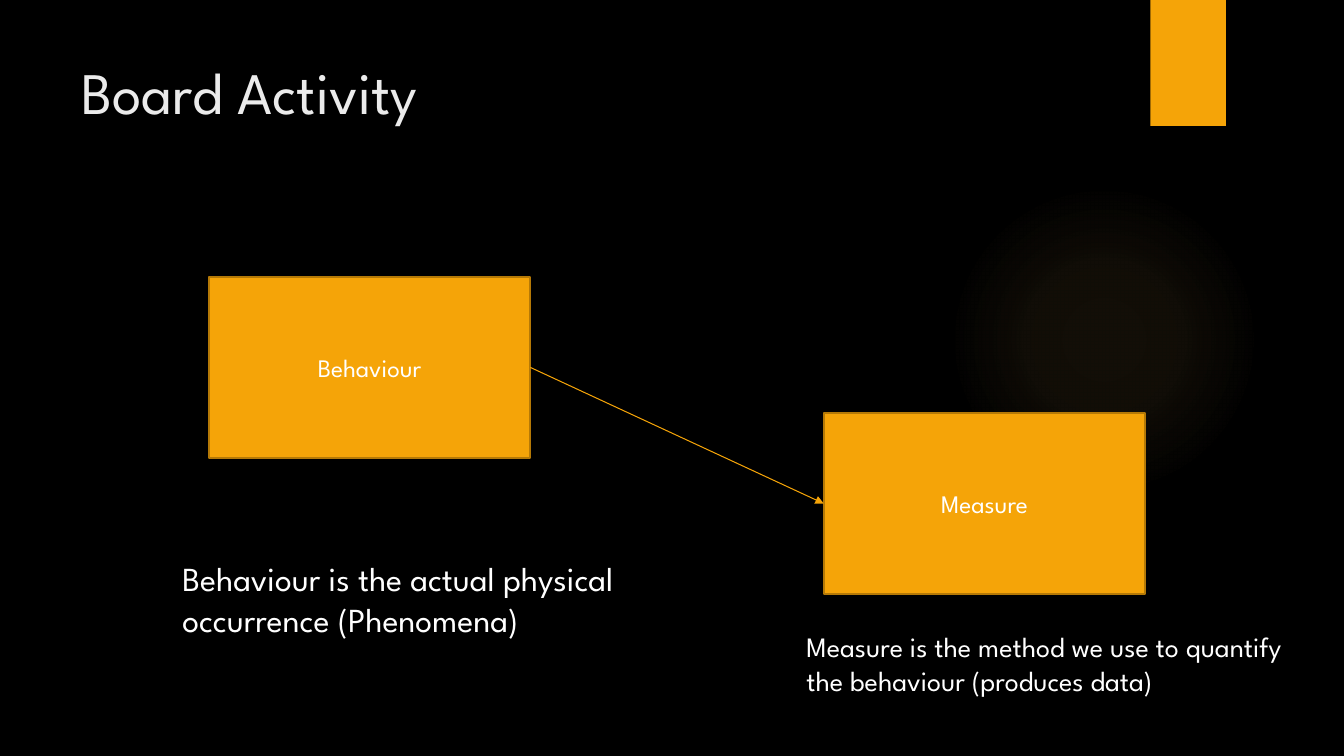
from lxml import etree
from pptx import Presentation
from pptx.dml.color import RGBColor
from pptx.enum.shapes import MSO_CONNECTOR as Connector, MSO_SHAPE as Shape
from pptx.enum.text import MSO_ANCHOR as Anchor, PP_ALIGN as Align
from pptx.oxml import parse_xml
from pptx.oxml.ns import nsdecls, qn
from pptx.util import Inches, Pt

FONT = "League Spartan"
COLORS = {
    "background": "000000",
    "amber": "F5A408",
    "border": "B57906",
    "glow": "FAC96A",
    "title": "EBEBEB",
    "text": "FFFFFF",
}

# Positions are left, top, width, height in inches
GLOW = (9.41, 1.83, 3.08, 3.08)
GLOW_STOPS = [(0, 7), (36, 6), (69, 0)]  # position %, opacity %
TAB = (11.41, 0, 0.75, 1.25)
BOX_SIZE = (3.19, 1.79)
BOXES = [("Behaviour", (2.07, 2.75)), ("Measure", (8.17, 4.1))]
TEXTS = [
    ("Board Activity", (0.71, 0.5, 10.29, 1.53), 42, "title"),
    ("Behaviour is the actual physical occurrence (Phenomena)",
     (1.71, 5.49, 5.22, 1.31), 24, "text"),
    ("Measure is the method we use to quantify the behaviour (produces data)",
     (7.9, 6.2, 4.97, 1.11), 20, "text"),
]


def color(name):
    return RGBColor.from_string(COLORS[name])


def write(shape, text, size, color_name, **frame_format):
    frame = shape.text_frame
    for name, value in {"word_wrap": True, **frame_format}.items():
        setattr(frame, name, value)
    run = frame.paragraphs[0].add_run()
    run.text = text
    for name, value in {"name": FONT, "size": Pt(size)}.items():
        setattr(run.font, name, value)
    run.font.color.rgb = color(color_name)


def add_shape(slide, kind, place, border=None):
    """Add an amber shape without shadow, outlined only if border is given."""
    shape = slide.shapes.add_shape(kind, *map(Inches, place))
    shape.shadow.inherit = False
    shape.fill.solid()
    shape.fill.fore_color.rgb = color("amber")
    if border:
        shape.line.color.rgb = color(border)
        shape.line.width = Pt(1.5)
    else:
        shape.line.fill.background()
    return shape


def add_glow(slide):
    """Add a circle whose translucent radial gradient fades outwards."""
    glow = add_shape(slide, Shape.OVAL, GLOW)
    stops = "".join(
        f'<a:gs pos="{position * 1000}"><a:srgbClr val="{COLORS["glow"]}">'
        f'<a:alpha val="{opacity * 1000}"/></a:srgbClr></a:gs>'
        for position, opacity in GLOW_STOPS)
    gradient = parse_xml(
        f'<a:gradFill {nsdecls("a")} rotWithShape="1"><a:gsLst>{stops}</a:gsLst>'
        '<a:path path="circle"><a:fillToRect l="50000" t="50000" r="50000" b="50000"/>'
        '</a:path></a:gradFill>')
    properties = glow.element.spPr
    properties.replace(properties.find(qn("a:solidFill")), gradient)


def add_arrow(slide, start, end):
    """Join the right side of start to the left side of end."""
    arrow = slide.shapes.add_connector(Connector.STRAIGHT, 0, 0, 0, 0)
    arrow.begin_connect(start, 3)
    arrow.end_connect(end, 1)
    arrow.line.color.rgb = color("amber")
    arrow.line.width = Pt(0.75)
    line = arrow.element.spPr.find(qn("a:ln"))
    etree.SubElement(line, qn("a:tailEnd"), type="triangle")
    etree.SubElement(arrow.element.spPr, qn("a:effectLst"))


def main():
    presentation = Presentation()
    presentation.slide_width = Inches(13.33)
    presentation.slide_height = Inches(7.5)
    slide = presentation.slides.add_slide(presentation.slide_layouts[6])
    slide.background.fill.solid()
    slide.background.fill.fore_color.rgb = color("background")

    add_glow(slide)
    add_shape(slide, Shape.RECTANGLE, TAB)

    boxes = []
    for label, corner in BOXES:
        box = add_shape(slide, Shape.RECTANGLE, corner + BOX_SIZE, "border")
        write(box, label, 18, "text", vertical_anchor=Anchor.MIDDLE)
        box.text_frame.paragraphs[0].alignment = Align.CENTER
        boxes.append(box)
    add_arrow(slide, *boxes)

    for text, place, size, color_name in TEXTS:
        text_box = slide.shapes.add_textbox(*map(Inches, place))
        write(text_box, text, size, color_name, vertical_anchor=Anchor.TOP)

    presentation.save("out.pptx")


if __name__ == "__main__":
    main()
